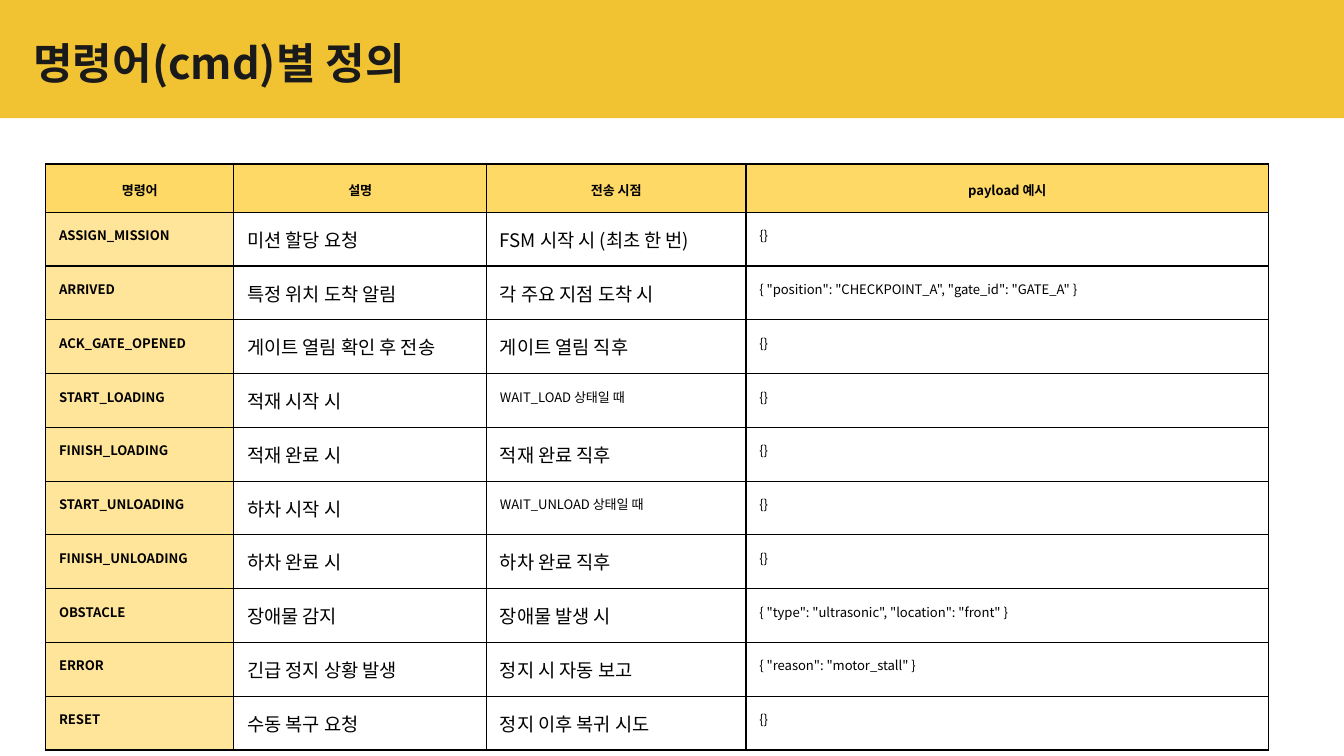
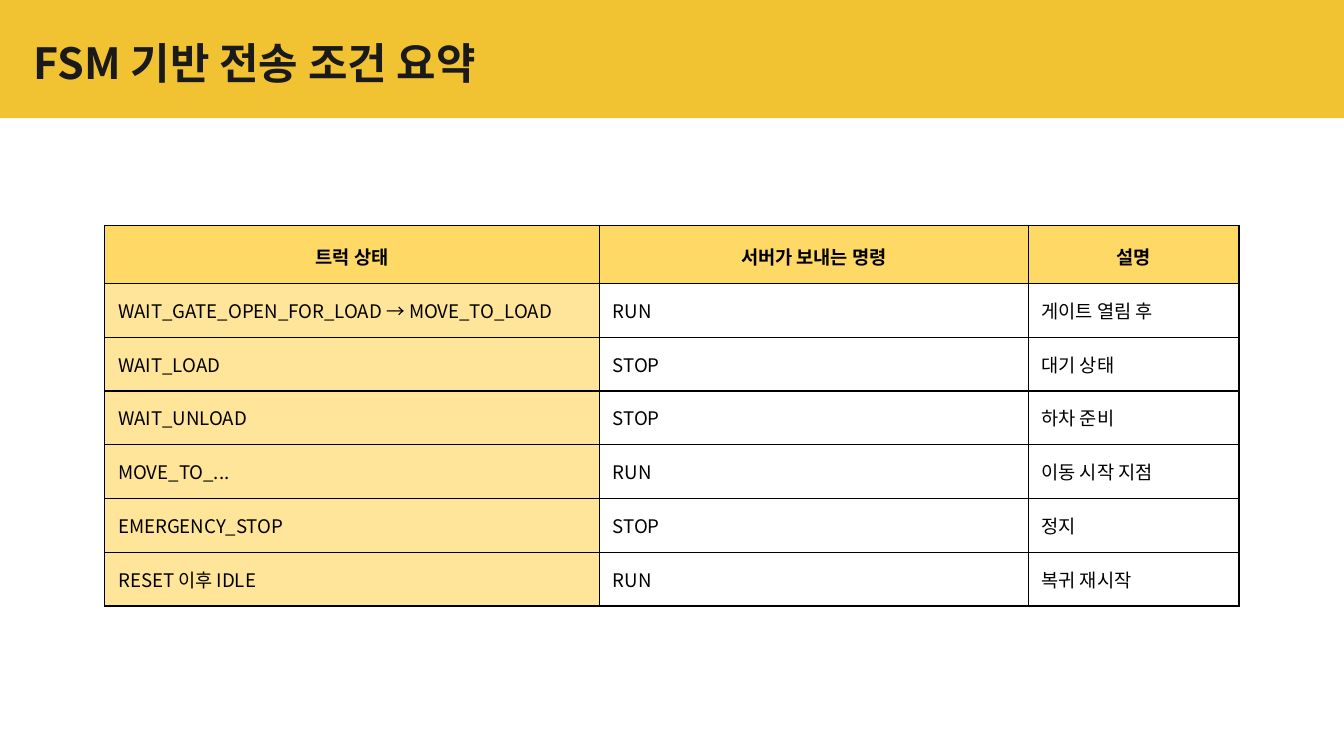
import pptx
import pptx.dml.color
import pptx.enum.shapes
import pptx.enum.text
import pptx.oxml
import pptx.oxml.ns
import pptx.util

FONT = "Noto Sans CJK KR"
COLORS = {
    "band": "F1C232",
    "title": "1A1A1A",
    "header": "FFD966",
    "first_column": "FFE599",
    "text": "000000",
    "border": "000000",
}
SLIDE_WIDTH = 10
SLIDE_HEIGHT = SLIDE_WIDTH * 9 / 16
BAND_HEIGHT = 0.88
TITLE_BOX = (0.15, 0.17, 8.41, 0.59)
TITLE_SIZE = 23
CELL_MARGIN = 0.1
ROW_HEIGHT = 0.4
BORDER_WIDTH = 0.75
TEXT_SIZE = 10
CODE_SIZE = 7

SLIDES = [
    {
        "title": "명령어(cmd)별 정의",
        "position": (0.34, 1.22),
        "columns": [1.4, 1.88, 1.93, 3.89],
        "header_height": 0.36,
        "header_size": CODE_SIZE,
        "code_columns": (0, 3),
        "code_prefix": "WAIT_",
        "bold_first_column": True,
        "header": ["명령어", "설명", "전송 시점", "payload 예시"],
        "rows": [
            ["ASSIGN_MISSION", "미션 할당 요청", "FSM 시작 시 (최초 한 번)", "{}"],
            ["ARRIVED", "특정 위치 도착 알림", "각 주요 지점 도착 시",
             '{ "position": "CHECKPOINT_A", "gate_id": "GATE_A" }'],
            ["ACK_GATE_OPENED", "게이트 열림 확인 후 전송", "게이트 열림 직후", "{}"],
            ["START_LOADING", "적재 시작 시", "WAIT_LOAD 상태일 때", "{}"],
            ["FINISH_LOADING", "적재 완료 시", "적재 완료 직후", "{}"],
            ["START_UNLOADING", "하차 시작 시", "WAIT_UNLOAD 상태일 때", "{}"],
            ["FINISH_UNLOADING", "하차 완료 시", "하차 완료 직후", "{}"],
            ["OBSTACLE", "장애물 감지", "장애물 발생 시",
             '{ "type": "ultrasonic", "location": "front" }'],
            ["ERROR", "긴급 정지 상황 발생", "정지 시 자동 보고", '{ "reason": "motor_stall" }'],
            ["RESET", "수동 복구 요청", "정지 이후 복귀 시도", "{}"],
        ],
    },
    {
        "title": "FSM 기반 전송 조건 요약",
        "position": (0.78, 1.68),
        "columns": [3.68, 3.19, 1.57],
        "header_height": 0.43,
        "header_size": TEXT_SIZE,
        "code_columns": (),
        "code_prefix": None,
        "bold_first_column": False,
        "header": ["트럭 상태", "서버가 보내는 명령", "설명"],
        "rows": [
            ["WAIT_GATE_OPEN_FOR_LOAD → MOVE_TO_LOAD", "RUN", "게이트 열림 후"],
            ["WAIT_LOAD", "STOP", "대기 상태"],
            ["WAIT_UNLOAD", "STOP", "하차 준비"],
            ["MOVE_TO_...", "RUN", "이동 시작 지점"],
            ["EMERGENCY_STOP", "STOP", "정지"],
            ["RESET 이후 IDLE", "RUN", "복귀 재시작"],
        ],
    },
]


def inches(*values):
    return [pptx.util.Inches(value) for value in values]


def rgb(name):
    return pptx.dml.color.RGBColor.from_string(COLORS[name])


def write(text_frame, text, size, color, bold):
    text_frame.text = text
    paragraph = text_frame.paragraphs[0]
    for run in paragraph.runs:
        font = run.font
        font.size = pptx.util.Pt(size)
        font.bold = bold
        font.color.rgb = rgb(color)
        font.name = FONT
        properties = run._r.get_or_add_rPr()
        properties.set("kern", "0")
        east_asian = pptx.oxml.parse_xml(
            f'<a:ea {pptx.oxml.ns.nsdecls("a")} typeface="{FONT}"/>')
        properties.append(east_asian)
    return paragraph


def set_margins(target):
    margin = pptx.util.Inches(CELL_MARGIN)
    target.margin_left = target.margin_right = margin
    target.margin_top = target.margin_bottom = margin


def add_borders(cell):
    properties = cell._tc.get_or_add_tcPr()
    for index, side in enumerate(("lnL", "lnR", "lnT", "lnB")):
        line = pptx.oxml.parse_xml(
            f'<a:{side} {pptx.oxml.ns.nsdecls("a")} w="{pptx.util.Pt(BORDER_WIDTH)}">'
            f'<a:solidFill><a:srgbClr val="{COLORS["border"]}"/></a:solidFill></a:{side}>')
        properties.insert(index, line)


def fill_cell(cell, color):
    if color is None:
        cell.fill.background()
    else:
        cell.fill.solid()
        cell.fill.fore_color.rgb = rgb(color)


def add_title_band(slide, title):
    band = slide.shapes.add_shape(
        pptx.enum.shapes.MSO_SHAPE.RECTANGLE, *inches(0, 0, SLIDE_WIDTH, BAND_HEIGHT))
    band.shadow.inherit = False
    band.fill.solid()
    band.fill.fore_color.rgb = rgb("band")
    band.line.fill.background()

    text_frame = slide.shapes.add_textbox(*inches(*TITLE_BOX)).text_frame
    text_frame.word_wrap = True
    text_frame.vertical_anchor = pptx.enum.text.MSO_ANCHOR.MIDDLE
    set_margins(text_frame)
    write(text_frame, title, TITLE_SIZE, "title", True)


def body_size(content, column, text):
    """Code columns and cells that open with a state name use the small size."""
    prefix = content["code_prefix"]
    is_code = column in content["code_columns"] or (prefix and text.startswith(prefix))
    return CODE_SIZE if is_code else TEXT_SIZE


def add_command_table(slide, content):
    rows = [content["header"], *content["rows"]]
    heights = [content["header_height"]] + [ROW_HEIGHT] * len(content["rows"])
    table = slide.shapes.add_table(
        len(rows), len(content["columns"]),
        *inches(*content["position"], sum(content["columns"]), sum(heights))).table
    table.horz_banding = False
    for column, width in zip(table.columns, content["columns"]):
        column.width = pptx.util.Inches(width)
    for row, height in zip(table.rows, heights):
        row.height = pptx.util.Inches(height)

    for row_index, texts in enumerate(rows):
        for column_index, text in enumerate(texts):
            cell = table.cell(row_index, column_index)
            set_margins(cell)
            if row_index == 0:
                fill_cell(cell, "header")
                paragraph = write(cell.text_frame, text, content["header_size"], "text", True)
                paragraph.alignment = pptx.enum.text.PP_ALIGN.CENTER
                paragraph.line_spacing = 1.15
            else:
                is_first = column_index == 0
                fill_cell(cell, "first_column" if is_first else None)
                write(cell.text_frame, text, body_size(content, column_index, text),
                      "text", is_first and content["bold_first_column"])
            add_borders(cell)


def main():
    presentation = pptx.Presentation()
    presentation.slide_width, presentation.slide_height = inches(SLIDE_WIDTH, SLIDE_HEIGHT)
    blank_layout = presentation.slide_layouts[6]
    for content in SLIDES:
        slide = presentation.slides.add_slide(blank_layout)
        add_title_band(slide, content["title"])
        add_command_table(slide, content)
    presentation.save("out.pptx")


if __name__ == "__main__":
    main()
